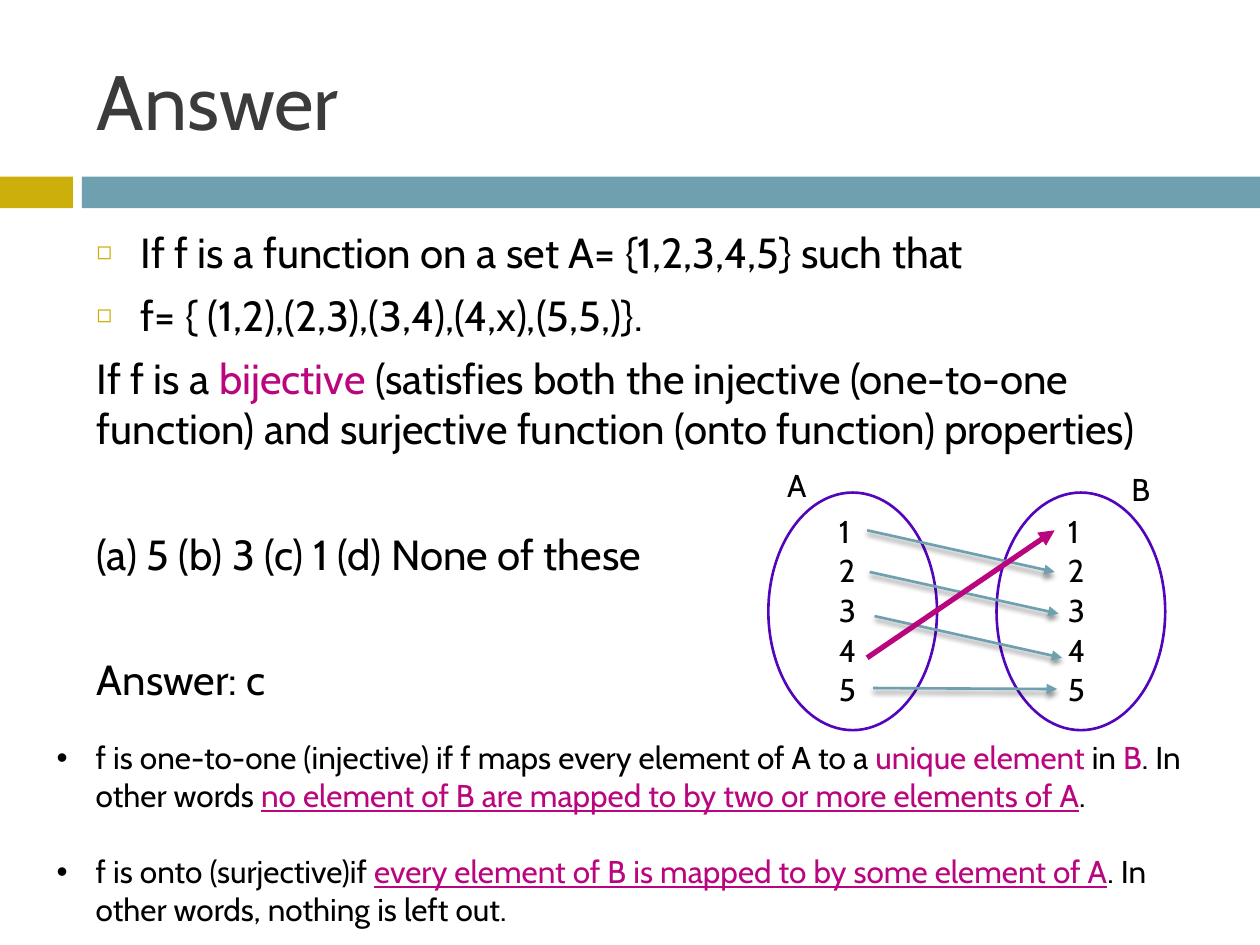
from lxml.etree import SubElement as Sub
from pptx import Presentation as Deck
from pptx.dml.color import RGBColor as Rgb
from pptx.enum.shapes import MSO_CONNECTOR as Conn, MSO_SHAPE as Kind
from pptx.enum.text import MSO_ANCHOR as Anchor
from pptx.oxml.ns import qn
from pptx.util import Cm, Pt

THEME = {
    "font": "Cabin", "ink": "000000", "head": "3B3B3B", "gold": "CCAF0A",
    "blue": "6EA0B0", "pink": "BA067E", "ring": "5305BB",
    "title": 44, "body": 24, "note": 18,
}

BARS = [("gold", (0, 3.56, 1.47, 0.64)), ("blue", (1.65, 3.56, 23.75, 0.64))]
TITLE = [{"runs": [("Answer", "head")]}]
BOX = {"mark": "◻", "tint": "gold", "scale": 60, "indent": 0.89, "gap": 7}
BODY = [
    {**BOX, "runs": [("If f is a function on a set A= {1,2,3,4,5} such that", "ink")]},
    {**BOX, "runs": [("f= { (1,2),(2,3),(3,4),(4,x),(5,5,)}.", "ink")]},
    {"gap": 7, "runs": [
        ("If f is a ", "ink"), ("bijective ", "pink"),
        ("(satisfies both the injective (one-to-one function) and surjective "
         "function (onto function) properties)", "ink")]},
    {"gap": 43, "runs": [("(a) 5 (b) 3 (c) 1 (d) None of these", "ink")]},
    {"gap": 43, "runs": [("Answer: c", "ink")]},
]
DOT = {"mark": "•", "tint": "ink", "scale": 100, "indent": 0.79}
NOTES = [
    {**DOT, "runs": [
        ("f is one-to-one (injective) if f maps every element of A to a ", "ink"),
        ("unique element ", "pink"), ("in ", "ink"), ("B", "pink"),
        (". In other words ", "ink"),
        ("no element of B are mapped to by two or more elements of A", "pink", True),
        (".", "ink")]},
    {**DOT, "gap": 22, "runs": [
        ("f is onto (surjective)if ", "ink"),
        ("every element of B is mapped to by some element of A", "pink", True),
        (". In other words, nothing is left out.", "ink")]},
]
TEXTS = [
    (TITLE, "title", (1.7, 0.64, 22.66, 2.74), Anchor.MIDDLE),
    (BODY, "body", (1.7, 4.45, 22.66, 12.5), Anchor.TOP),
    (NOTES, "note", (0.89, 14.76, 23.62, 4.11), Anchor.TOP),
]

SETS = [("A", 15.49, (15.62, 9.27), 16.66), ("B", 20.09, (22.56, 9.35), 21.28)]
ITEMS = "12345"
RING = {"top": 9.93, "wide": 3.4, "high": 4.79}
TAG = (1.6, 1.02)
FIRST, STEP = 10.19, 0.8
MAPS = [
    ((17.48, 10.69), (21.26, 11.53), "blue", 1.5),
    ((17.53, 11.53), (21.34, 12.37), "blue", 1.5),
    ((17.63, 12.42), (21.41, 13.26), "blue", 1.5),
    ((17.6, 13.87), (21.31, 13.89), "blue", 1.5),
    ((17.48, 13.26), (21.26, 10.69), "pink", 3),
]


def hue(name):
    return Rgb.from_string(THEME[name])


def apply(goal, form):
    for key, val in form.items():
        setattr(goal, key, val)


def bullet(para, row):
    props = para._p.get_or_add_pPr()
    side = Cm(row["indent"])
    props.set("marL", str(side))
    props.set("indent", str(-side))
    Sub(Sub(props, qn("a:buClr")), qn("a:srgbClr"), val=THEME[row["tint"]])
    Sub(props, qn("a:buSzPct"), val=str(row["scale"] * 1000))
    Sub(props, qn("a:buFont"), typeface="Arial")
    Sub(props, qn("a:buChar"), char=row["mark"])


def write(page, rows, size, area, anchor=Anchor.TOP):
    frame = page.shapes.add_textbox(*map(Cm, area)).text_frame
    apply(frame, {"word_wrap": True, "vertical_anchor": anchor})
    for num, row in enumerate(rows):
        para = frame.add_paragraph() if num else frame.paragraphs[0]
        para.space_before = Pt(row.get("gap", 0))
        if "mark" in row:
            bullet(para, row)
        for words, tone, *under in row["runs"]:
            run = para.add_run()
            run.text = words
            apply(run.font, {"name": THEME["font"], "size": Pt(THEME[size]),
                             "underline": bool(under)})
            run.font.color.rgb = hue(tone)


def draw(page, kind, area, fill=None, line=None):
    shape = page.shapes.add_shape(kind, *map(Cm, area))
    shape.shadow.inherit = False
    if fill:
        shape.fill.solid()
        shape.fill.fore_color.rgb = hue(fill)
    else:
        shape.fill.background()
    if line:
        shape.line.color.rgb = hue(line)
        shape.line.width = Pt(1.5)
    else:
        shape.line.fill.background()


def arrow(page, start, end, tone, width):
    link = page.shapes.add_connector(Conn.STRAIGHT, *map(Cm, start + end))
    link.line.color.rgb = hue(tone)
    link.line.width = Pt(width)
    Sub(link.line._get_or_add_ln(), qn("a:tailEnd"), type="triangle")
    fx = Sub(link._element.spPr, qn("a:effectLst"))
    if tone == "blue":
        cast = Sub(fx, qn("a:outerShdw"), blurRad="38100", dist="30000",
                   dir="5400000", rotWithShape="0")
        Sub(Sub(cast, qn("a:srgbClr"), val=THEME["ink"]), qn("a:alpha"), val="45000")


def label(page, word, left, top):
    write(page, [{"runs": [(word, "ink")]}], "note", (left, top, *TAG))


def main():
    deck = Deck()
    apply(deck, {"slide_width": Cm(25.4), "slide_height": Cm(19.05)})
    page = deck.slides.add_slide(deck.slide_layouts[6])
    for fill, area in BARS:
        draw(page, Kind.RECTANGLE, area, fill=fill)
    for rows, size, area, anchor in TEXTS:
        write(page, rows, size, area, anchor)
    for name, left, spot, col in SETS:
        area = (left, RING["top"], RING["wide"], RING["high"])
        draw(page, Kind.OVAL, area, line="ring")
        label(page, name, *spot)
        for num, item in enumerate(ITEMS):
            label(page, item, col, FIRST + num * STEP)
    for start, end, tone, width in MAPS:
        arrow(page, start, end, tone, width)
    deck.save("out.pptx")


if __name__ == "__main__":
    main()
